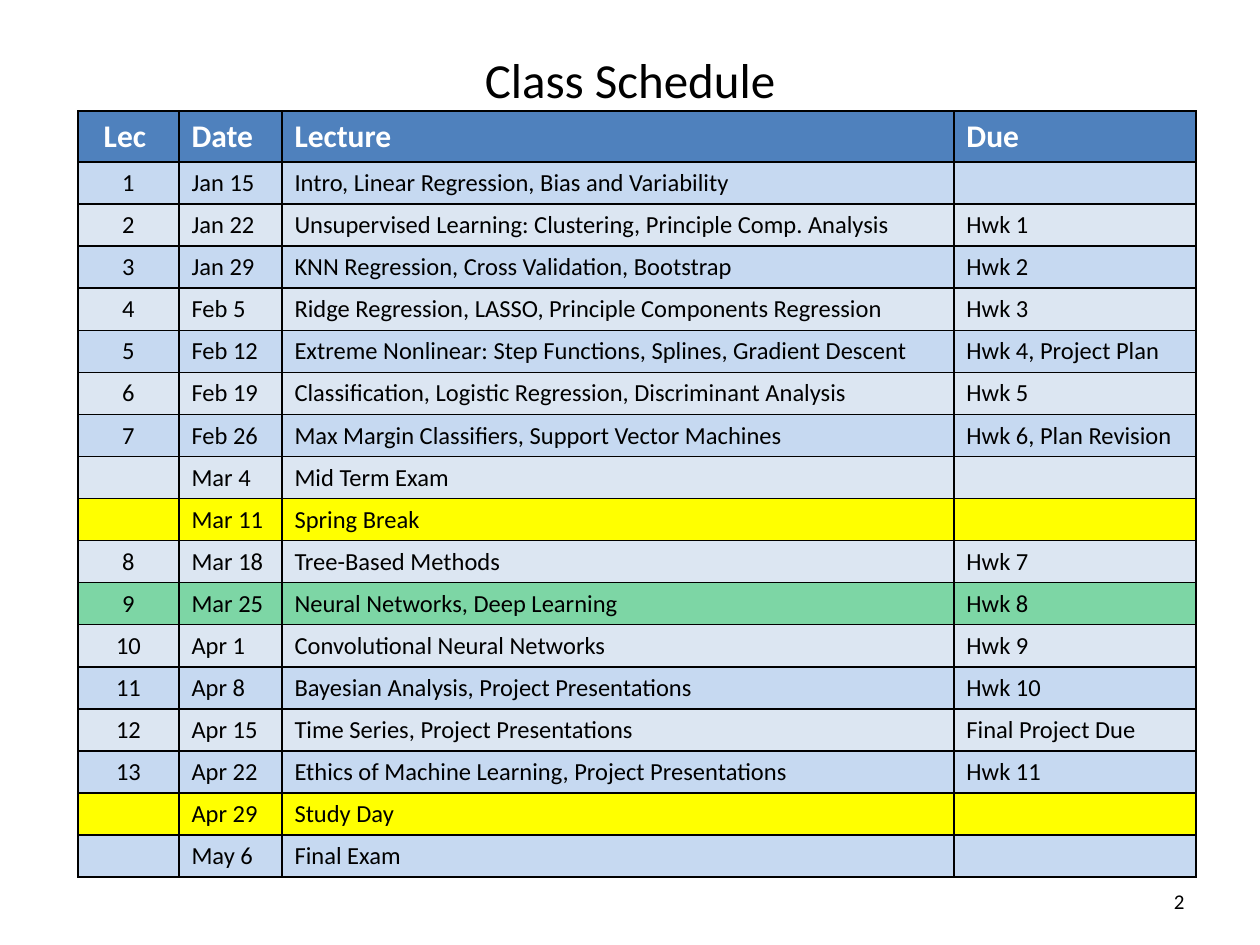
import pptx
import pptx.dml.color
import pptx.enum.text
import pptx.oxml
import pptx.oxml.ns
import pptx.util

RGBColor = pptx.dml.color.RGBColor
Align = pptx.enum.text.PP_ALIGN
Anchor = pptx.enum.text.MSO_ANCHOR

EMU_PER_PX = 914400 // 126
FONT = "Calibri"
BLACK = RGBColor(0x00, 0x00, 0x00)
WHITE = RGBColor(0xFF, 0xFF, 0xFF)
HEADER_BLUE = RGBColor(0x4F, 0x81, 0xBD)
BANDS = (RGBColor(0xDC, 0xE6, 0xF2), RGBColor(0xC6, 0xD9, 0xF1))
YELLOW = RGBColor(0xFF, 0xFF, 0x00)
GREEN = RGBColor(0x00, 0xB0, 0x50)
GREEN_ALPHA = 51

COLUMN_WIDTHS = (101, 103, 672, 242)
HEADER_HEIGHT, ROW_HEIGHT = 51, 42
HEADINGS = ("Lec ", "Date", "Lecture", "Due")
HOLIDAYS = ("Spring Break", "Study Day")
CURRENT_LECTURE = "9"
SCHEDULE = (
    ("1", "Jan 15", "Intro, Linear Regression, Bias and Variability", ""),
    ("2", "Jan 22", "Unsupervised Learning: Clustering, Principle Comp. Analysis", "Hwk 1"),
    ("3", "Jan 29", "KNN Regression, Cross Validation, Bootstrap", "Hwk 2"),
    ("4", "Feb 5", "Ridge Regression, LASSO, Principle Components Regression", "Hwk 3"),
    ("5", "Feb 12", "Extreme Nonlinear: Step Functions, Splines, Gradient Descent", "Hwk 4, Project Plan"),
    ("6", "Feb 19", "Classification, Logistic Regression, Discriminant Analysis", "Hwk 5"),
    ("7", "Feb 26", "Max Margin Classifiers, Support Vector Machines", "Hwk 6, Plan Revision"),
    ("", "Mar 4", "Mid Term Exam", ""),
    ("", "Mar 11", "Spring Break", ""),
    ("8", "Mar 18", "Tree-Based Methods", "Hwk 7"),
    ("9", "Mar 25", "Neural Networks, Deep Learning", "Hwk 8"),
    ("10", "Apr 1", "Convolutional Neural Networks", "Hwk 9"),
    ("11", "Apr 8", "Bayesian Analysis, Project Presentations", "Hwk 10"),
    ("12", "Apr 15", "Time Series, Project Presentations", "Final Project Due"),
    ("13", "Apr 22", "Ethics of Machine Learning, Project Presentations", "Hwk 11"),
    ("", "Apr 29", "Study Day", ""),
    ("", "May 6", "Final Exam", ""),
)


def px(length):
    """Turn pixels into EMU."""
    return pptx.util.Emu(length * EMU_PER_PX)


def write_text(text_frame, text, size, color, alignment, bold=False):
    """Write one formatted paragraph."""
    text_frame.text = text
    paragraph = text_frame.paragraphs[0]
    paragraph.alignment = alignment
    font = paragraph.font
    font.name, font.size, font.bold = FONT, pptx.util.Pt(size), bold
    font.color.rgb = color


def add_title(slide, text):
    """Place and format the slide title."""
    title = slide.shapes.title
    title.left, title.top, title.width, title.height = map(px, (63, 0, 1134, 158))
    title.text_frame.vertical_anchor = Anchor.MIDDLE
    write_text(title.text_frame, text, 28, BLACK, Align.CENTER)


def add_page_number(slide, text):
    """Add the page number at the bottom right."""
    box = slide.shapes.add_textbox(*map(px, (903, 876, 294, 50)))
    box.text_frame.word_wrap = True
    box.text_frame.vertical_anchor = Anchor.MIDDLE
    write_text(box.text_frame, text, 12, BLACK, Align.RIGHT)


def add_borders(cell):
    """Draw a thin black line on every side of a cell."""
    properties = cell._tc.get_or_add_tcPr()
    for side in ("lnL", "lnR", "lnT", "lnB"):
        properties.append(pptx.oxml.parse_xml(
            f'<a:{side} {pptx.oxml.ns.nsdecls("a")} w="{pptx.util.Pt(1)}">'
            f'<a:solidFill><a:srgbClr val="{BLACK}"/></a:solidFill></a:{side}>'))


def fill_cell(cell, color, alpha=100):
    """Fill a cell with a colour of the given opacity in percent."""
    cell.fill.solid()
    cell.fill.fore_color.rgb = color
    if alpha < 100:
        color_element = cell._tc.tcPr.find(".//" + pptx.oxml.ns.qn("a:solidFill") + "[last()]/*")
        color_element = cell._tc.tcPr.find(pptx.oxml.ns.qn("a:solidFill"))[0]
        color_element.append(pptx.oxml.parse_xml(
            f'<a:alpha {pptx.oxml.ns.nsdecls("a")} val="{alpha * 1000}"/>'))


def row_fill(index, entry):
    """Return the colour and opacity of a table row."""
    if index == 0:
        return HEADER_BLUE, 100
    if entry[2] in HOLIDAYS:
        return YELLOW, 100
    if entry[0] == CURRENT_LECTURE:
        return GREEN, GREEN_ALPHA
    return BANDS[index % 2], 100


def add_schedule(slide):
    """Add the schedule table."""
    entries = (HEADINGS, *SCHEDULE)
    height = HEADER_HEIGHT + ROW_HEIGHT * len(SCHEDULE)
    table = slide.shapes.add_table(
        len(entries), len(HEADINGS), px(78), px(111), px(sum(COLUMN_WIDTHS)), px(height)).table
    table.first_row = table.horz_banding = False
    for column, width in zip(table.columns, COLUMN_WIDTHS):
        column.width = px(width)
    for index, entry in enumerate(entries):
        is_header = index == 0
        table.rows[index].height = px(HEADER_HEIGHT if is_header else ROW_HEIGHT)
        size, color = (18, WHITE) if is_header else (14, BLACK)
        for column_index, text in enumerate(entry):
            cell = table.cell(index, column_index)
            alignment = Align.LEFT if column_index else Align.CENTER
            write_text(cell.text_frame, text, size, color, alignment, is_header)
            add_borders(cell)
            fill_cell(cell, *row_fill(index, entry))


def main():
    """Build the class schedule slide."""
    presentation = pptx.Presentation()
    presentation.slide_width, presentation.slide_height = px(1260), px(945)
    slide = presentation.slides.add_slide(presentation.slide_layouts[5])
    add_title(slide, "Class Schedule")
    add_page_number(slide, "2")
    add_schedule(slide)
    presentation.save("out.pptx")


if __name__ == "__main__":
    main()
